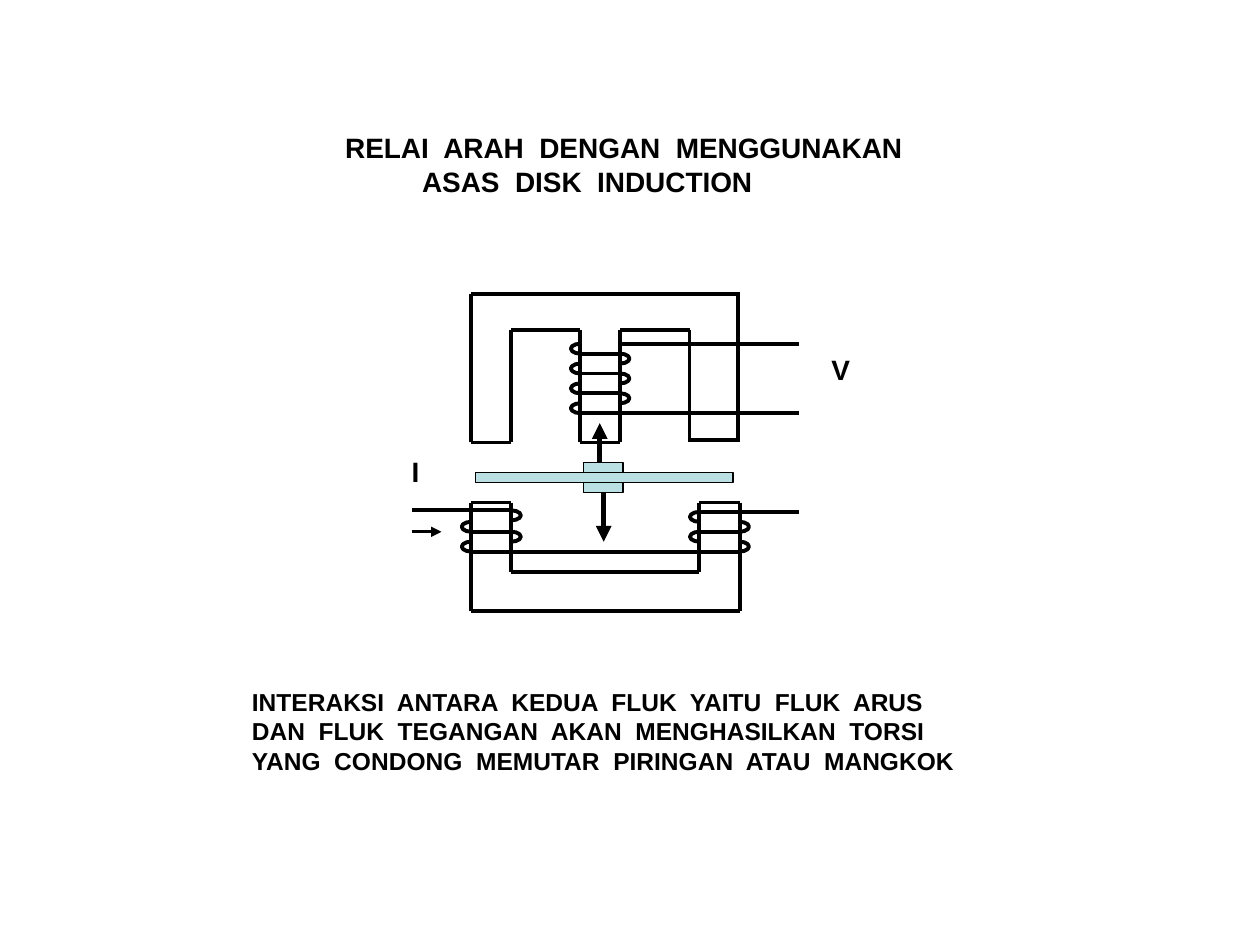
from itertools import pairwise

from lxml.etree import SubElement as Sub
from pptx import Presentation as Deck
from pptx.dml.color import RGBColor as Rgb
from pptx.enum.shapes import MSO_CONNECTOR as Link, MSO_SHAPE as Form
from pptx.oxml.ns import qn
from pptx.util import Cm, Pt

HUES = {"ink": "000000", "disk": "BBE0E3"}


class Pen:
    """Draws the parts of the relay in one style on the current slide."""

    font = "Arial"
    wire = 2.25
    pitch = 0.4
    loop = 0.38

    def __init__(self, slide):
        self.shapes = slide.shapes

    def hue(self, name):
        return Rgb.from_string(HUES[name])

    def edge(self, line, size):
        line.color.rgb = self.hue("ink")
        line.width = Pt(size)

    def line(self, start, end, size=wire, arrow=False):
        link = self.shapes.add_connector(
            Link.STRAIGHT, *(Cm(v) for v in (*start, *end)))
        self.edge(link.line, size)
        if arrow:
            Sub(link.line._get_or_add_ln(), qn("a:tailEnd"), type="triangle")
        Sub(link._element.spPr, qn("a:effectLst"))

    def chain(self, *spots):
        for start, end in pairwise(spots):
            self.line(start, end)

    def shape(self, form, box, size):
        item = self.shapes.add_shape(form, *(Cm(v) for v in box))
        item.shadow.inherit = False
        self.edge(item.line, size)
        return item

    def bar(self, *box):
        item = self.shape(Form.RECTANGLE, box, 0.75)
        item.fill.solid()
        item.fill.fore_color.rgb = self.hue("disk")

    def coil(self, x, top, count, left):
        for turn in range(count):
            y = top + turn * self.pitch
            box = (x - self.loop / 2, y, self.loop, self.pitch / 2)
            arc = self.shape(Form.ARC, box, self.wire)
            arc.fill.background()
            ends = (54, 162) if left else (162, 54)
            arc.adjustments[0], arc.adjustments[1] = ends

    def text(self, box, words, size, shift=0):
        frame = self.shapes.add_textbox(*(Cm(v) for v in box)).text_frame
        frame.word_wrap = False
        frame.text = words
        for para in frame.paragraphs:
            para.font.name = self.font
            para.font.size = Pt(size)
            para.font.bold = True
            para.font.color.rgb = self.hue("ink")
        if shift:
            para._p.get_or_add_pPr().set("marL", str(Cm(shift)))


def main():
    deck = Deck()
    deck.slide_width, deck.slide_height = Cm(25.4), Cm(19.05)
    pen = Pen(deck.slides.add_slide(deck.slide_layouts[6]))

    pen.chain((10.31, 8.92), (9.5, 8.92), (9.5, 5.92), (14.91, 5.92))
    pen.chain((10.31, 8.92), (10.31, 6.65), (11.7, 6.65), (11.7, 8.92),
              (12.5, 8.92), (12.5, 6.65), (13.9, 6.65), (13.9, 8.92))
    pen.line((14.87, 5.92), (14.87, 8.92))
    pen.line((13.9, 8.87), (14.91, 8.87))
    pen.chain((9.5, 10.13), (10.31, 10.13), (10.31, 11.53), (14.1, 11.53),
              (14.1, 10.13), (14.91, 10.13), (14.91, 12.32), (9.5, 12.32),
              (9.5, 10.13))

    pen.bar(9.58, 9.53, 5.2, 0.2)
    for y in (9.32, 9.73):
        pen.bar(11.76, y, 0.8, 0.2)
    pen.line((12.17, 9.93), (12.17, 10.92), 3, True)
    pen.line((12.09, 9.32), (12.09, 8.53), 3, True)

    pen.coil(11.7, 6.93, 4, True)
    pen.coil(12.5, 7.13, 3, False)
    for turn in range(3):
        y = 7.13 + turn * pen.pitch
        pen.line((11.7, y), (12.5, y))
    pen.line((12.5, 6.93), (16.1, 6.93))
    pen.line((11.7, 8.33), (16.1, 8.33))

    pen.coil(9.5, 10.52, 2, True)
    pen.coil(10.31, 10.29, 1, False)
    pen.coil(10.31, 10.72, 1, False)
    pen.coil(14.1, 10.32, 2, True)
    pen.coil(14.91, 10.52, 2, False)
    pen.line((10.31, 10.29), (8.3, 10.29))
    pen.line((14.1, 10.32), (16.1, 10.32))
    for x in (9.5, 14.1):
        pen.line((x, 10.72), (x + 0.81, 10.72))
    pen.line((9.5, 11.12), (14.91, 11.12))
    pen.line((8.3, 10.72), (8.9, 10.72), 1.5, True)

    pen.text((16.51, 6.99, 0.89, 0.94), "V", 16)
    pen.text((8.05, 9.04, 0.66, 0.94), "I", 16)
    pen.text((6.71, 2.51, 11.76, 1.63),
             "RELAI  ARAH  DENGAN  MENGGUNAKAN\nASAS  DISK  INDUCTION",
             16, 1.55)
    pen.text((4.83, 13.72, 14.83, 2.03),
             "INTERAKSI  ANTARA  KEDUA  FLUK  YAITU  FLUK  ARUS\n"
             "DAN  FLUK  TEGANGAN  AKAN  MENGHASILKAN  TORSI\n"
             "YANG  CONDONG  MEMUTAR  PIRINGAN  ATAU  MANGKOK", 14)
    deck.save("out.pptx")


if __name__ == "__main__":
    main()
